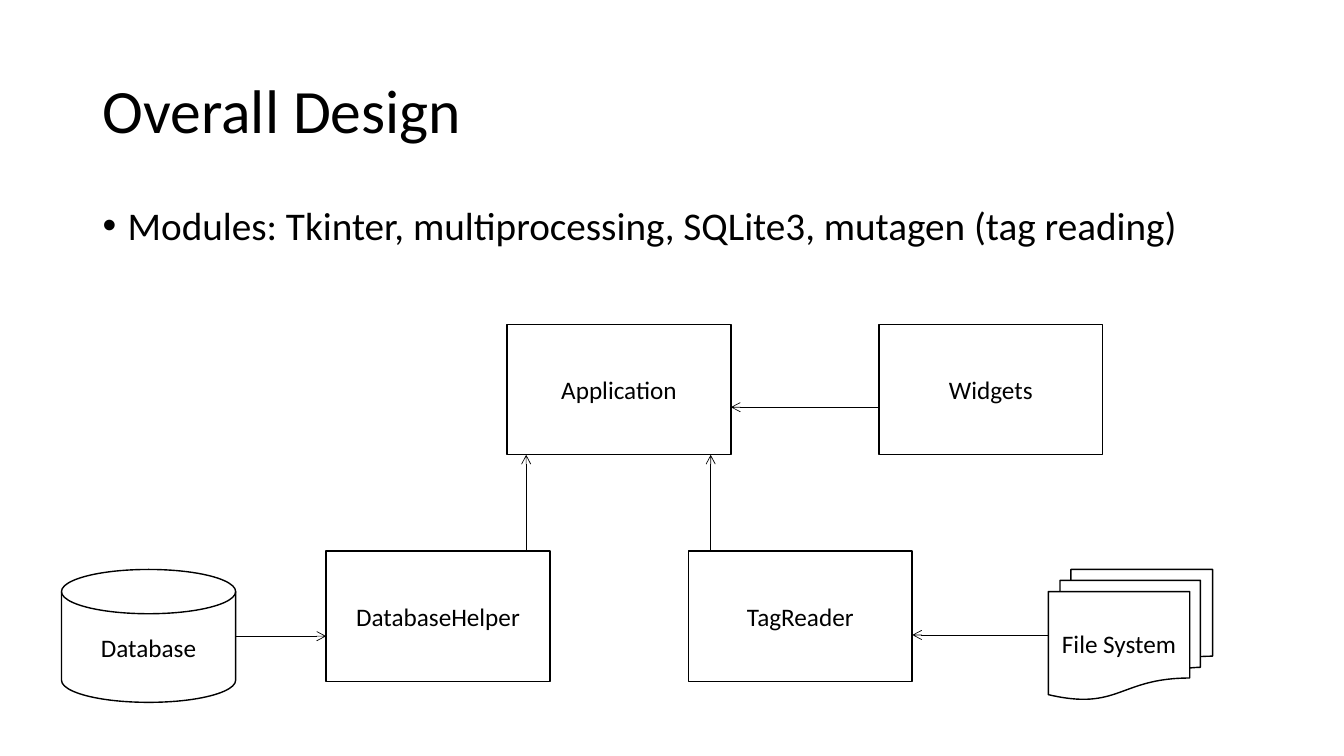
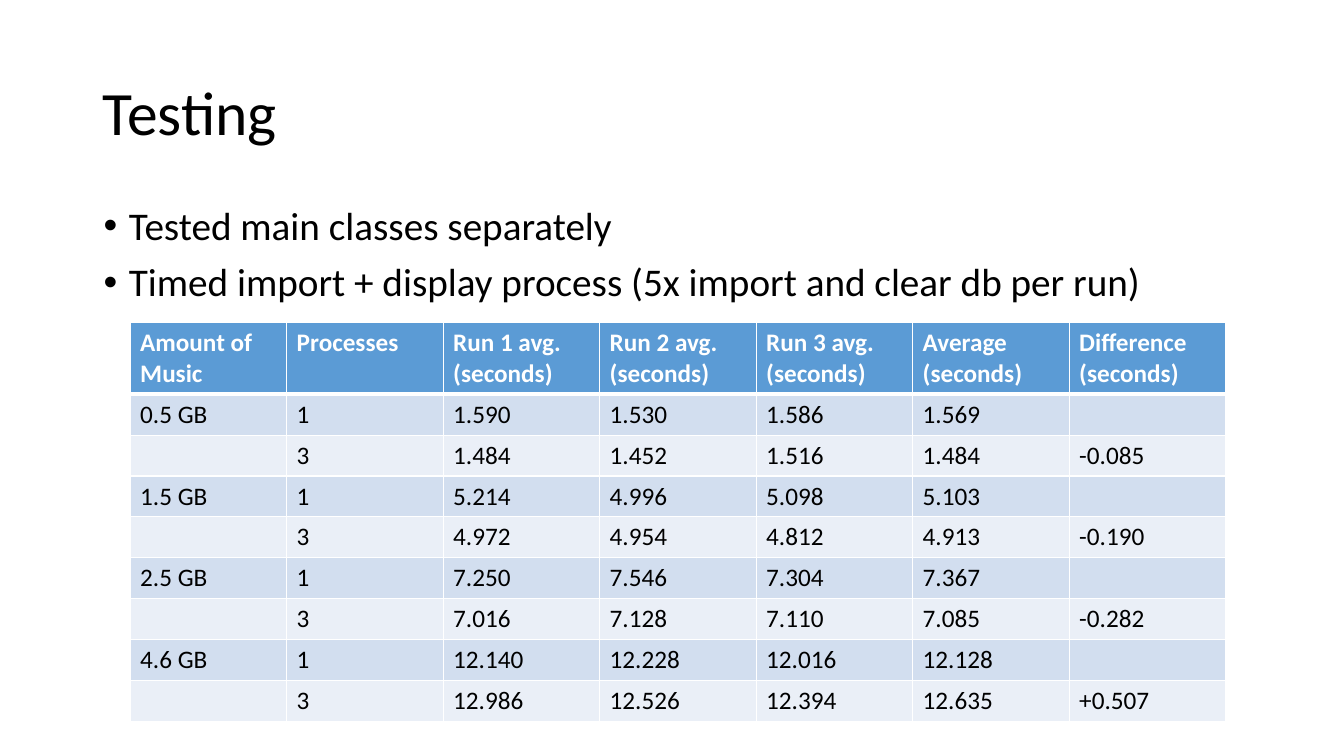
from pptx import Presentation
from pptx.dml.color import RGBColor
from pptx.enum.shapes import MSO_CONNECTOR as CONNECTOR, MSO_SHAPE as SHAPE
from pptx.enum.text import MSO_ANCHOR as ANCHOR, MSO_AUTO_SIZE as AUTO_SIZE, PP_ALIGN as ALIGN
from pptx.oxml.ns import qn
from pptx.util import Cm, Pt
from lxml.etree import SubElement

COLORS = {name: RGBColor.from_string(value) for name, value in {
    "ink": "000000", "paper": "FFFFFF", "header": "5B9BD5",
    "band_dark": "D2DEEF", "band_light": "EAEFF7"}.items()}
FONT = "Calibri"


def style_text(frame, size, color="ink", bold=False, align=ALIGN.LEFT):
    """Apply the deck font and alignment to every paragraph of a frame."""
    for paragraph in frame.paragraphs:
        paragraph.alignment = align
        for run in paragraph.runs:
            run.font.name, run.font.size, run.font.bold = FONT, Pt(size), bold
            run.font.color.rgb = COLORS[color]


def add_content_slide(heading, points, heading_top, points_left, points_height):
    """Add a slide with a left-aligned heading and a bulleted list."""
    slide = deck.slides.add_slide(deck.slide_layouts[1])
    title, body = slide.placeholders
    title.left, title.top, title.width, title.height = Cm(2.33), Cm(heading_top), Cm(29.21), Cm(3.68)
    body.left, body.top, body.width, body.height = Cm(points_left), Cm(5.08), Cm(29.21), Cm(points_height)
    for holder, text, size in ((title, heading, 44), (body, "\n".join(points), 28)):
        frame = holder.text_frame
        frame.text = text
        frame.auto_size = AUTO_SIZE.NONE
        style_text(frame, size)
        for paragraph in frame.paragraphs:
            paragraph.line_spacing = 0.9
    title.text_frame.vertical_anchor = ANCHOR.MIDDLE
    for paragraph in body.text_frame.paragraphs:
        paragraph.space_before = Pt(10)
        properties = paragraph._p.get_or_add_pPr()
        properties.set("marL", str(Cm(0.635)))
        properties.set("indent", str(-Cm(0.635)))
        SubElement(properties, qn("a:buChar"), char="•")
    return slide


deck = Presentation()
deck.slide_width, deck.slide_height = Cm(33.87), Cm(19.05)

# Overall design: modules and the data flowing between them
design = add_content_slide(
    "Overall Design", ["Modules: Tkinter, multiprocessing, SQLite3, mutagen (tag reading)"],
    1.02, 2.33, 1.5)

MODULE_W, MODULE_H = 5.64, 3.28
UPPER, LOWER, STORE_TOP = 8.18, 13.89, 14.35
APP_X, WIDGETS_X, HELPER_X, READER_X = 12.78, 22.15, 8.22, 17.35
DATABASE_X, DATABASE_W, FILES_X = 1.55, 4.39, 26.42

components = [
    ("Application", SHAPE.RECTANGLE, APP_X, UPPER, MODULE_W, MODULE_H),
    ("DatabaseHelper", SHAPE.RECTANGLE, HELPER_X, LOWER, MODULE_W, MODULE_H),
    ("TagReader", SHAPE.RECTANGLE, READER_X, LOWER, MODULE_W, MODULE_H),
    ("Database", SHAPE.FLOWCHART_MAGNETIC_DISK, DATABASE_X, STORE_TOP, DATABASE_W, 3.35),
    ("Widgets", SHAPE.RECTANGLE, WIDGETS_X, UPPER, MODULE_W, MODULE_H),
    ("File System", SHAPE.FLOWCHART_MULTIDOCUMENT, FILES_X, STORE_TOP, 4.14, MODULE_H),
]
for label, outline, *box in components:
    component = design.shapes.add_shape(outline, *map(Cm, box))
    component.shadow.inherit = False
    component.fill.solid()
    component.fill.fore_color.rgb = COLORS["paper"]
    component.line.color.rgb = COLORS["ink"]
    component.line.width = Pt(1)
    component.text_frame.text = label
    component.text_frame.vertical_anchor = ANCHOR.MIDDLE
    style_text(component.text_frame, 18, align=ALIGN.CENTER)

flows = [
    (13.26, LOWER, 13.26, UPPER + MODULE_H),
    (17.91, LOWER, 17.91, UPPER + MODULE_H),
    (DATABASE_X + DATABASE_W, 16.03, HELPER_X, 16.03),
    (WIDGETS_X, 10.26, APP_X + MODULE_W, 10.26),
    (FILES_X, 16, READER_X + MODULE_W, 16),
]
for ends in flows:
    flow = design.shapes.add_connector(CONNECTOR.STRAIGHT, *map(Cm, ends))
    flow.line.color.rgb = COLORS["ink"]
    flow.line.width = Pt(0.5)
    SubElement(flow.line._get_or_add_ln(), qn("a:tailEnd"), type="arrow")
    SubElement(flow._element.spPr, qn("a:effectLst"))

# Testing: import timings by library size and process count
testing = add_content_slide(
    "Testing",
    ["Tested main classes separately",
     "Timed import + display process (5x import and clear db per run)"],
    1.07, 2.36, 12.09)

timings = [
    ["Amount of Music", "Processes", "Run 1 avg. (seconds)", "Run 2 avg. (seconds)",
     "Run 3 avg. (seconds)", "Average\n(seconds)", "Difference (seconds)"],
    ["0.5 GB", "1", "1.590", "1.530", "1.586", "1.569", ""],
    ["", "3", "1.484", "1.452", "1.516", "1.484", "-0.085"],
    ["1.5 GB", "1", "5.214", "4.996", "5.098", "5.103", ""],
    ["", "3", "4.972", "4.954", "4.812", "4.913", "-0.190"],
    ["2.5 GB", "1", "7.250", "7.546", "7.304", "7.367", ""],
    ["", "3", "7.016", "7.128", "7.110", "7.085", "-0.282"],
    ["4.6 GB", "1", "12.140", "12.228", "12.016", "12.128", ""],
    ["", "3", "12.986", "12.526", "12.394", "12.635", "+0.507"],
]
HEADER_H, ROW_H = 1.78, 1.03
table = testing.shapes.add_table(
    len(timings), len(timings[0]), Cm(3.28), Cm(8.13), Cm(27.61),
    Cm(HEADER_H + ROW_H * (len(timings) - 1))).table
for r, values in enumerate(timings):
    is_header = r == 0
    table.rows[r].height = Cm(HEADER_H if is_header else ROW_H)
    band = "header" if is_header else "band_dark" if r % 2 else "band_light"
    for c, value in enumerate(values):
        cell = table.cell(r, c)
        cell.text_frame.text = value
        style_text(cell.text_frame, 18, "paper" if is_header else "ink", is_header)
        # Borders come before the fill in the cell properties
        for side in ("L", "R", "T", "B"):
            heavy = (side == "B" and is_header) or (side == "T" and r == 1)
            border = SubElement(cell._tc.get_or_add_tcPr(), qn("a:ln" + side),
                                w=str(Pt(3 if heavy else 1)))
            paint = SubElement(border, qn("a:solidFill"))
            SubElement(paint, qn("a:srgbClr"), val=str(COLORS["paper"]))
        cell.fill.solid()
        cell.fill.fore_color.rgb = COLORS[band]

deck.save("out.pptx")
